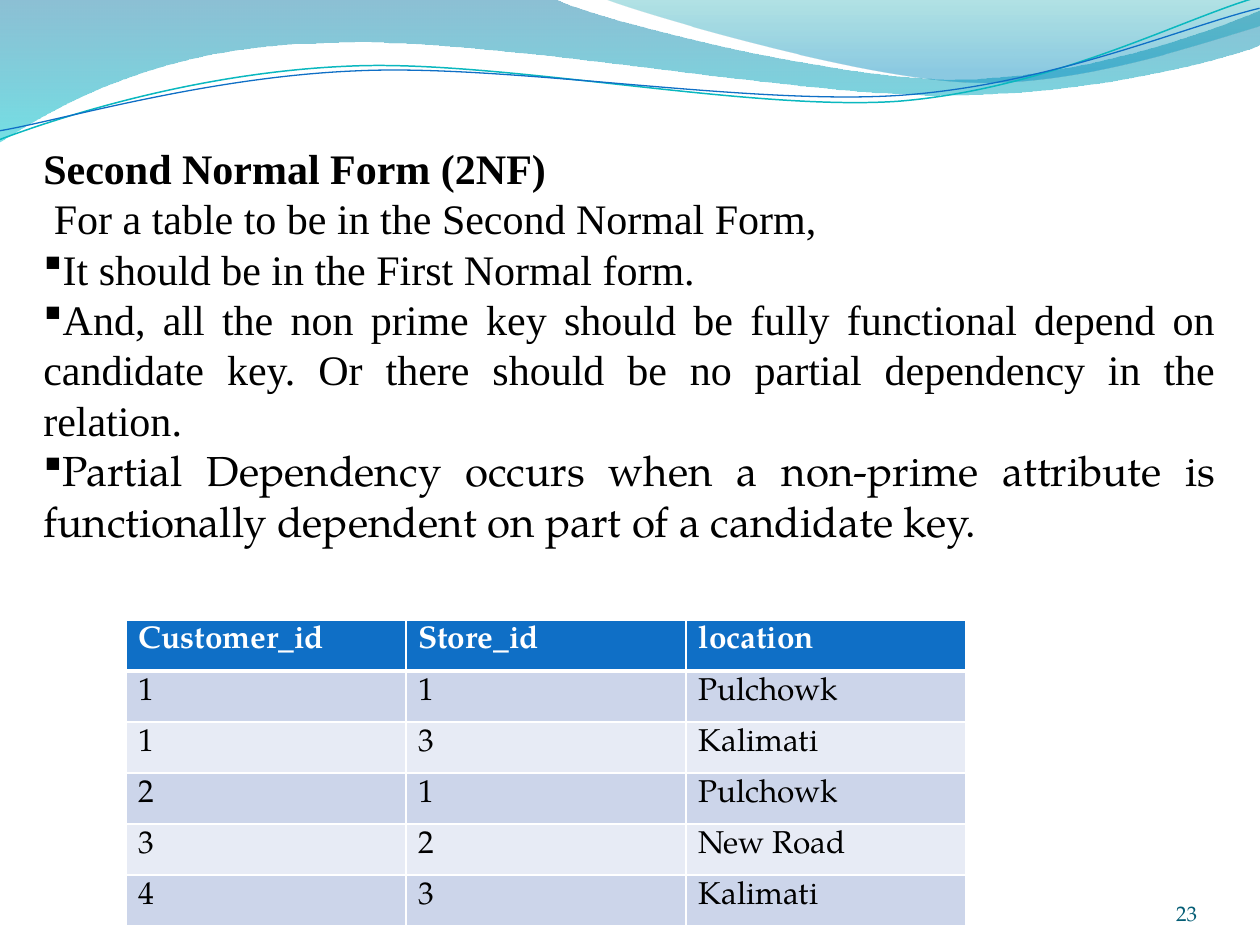
from dataclasses import dataclass
from itertools import chain, product
from lxml.etree import SubElement
from pptx import Presentation
from pptx.dml.color import RGBColor
from pptx.enum.text import MSO_ANCHOR, PP_ALIGN
from pptx.oxml.ns import qn
from pptx.util import Emu, Pt

PIXEL = 914400 / 126


@dataclass(frozen=True)
class Theme:
    """Colours, fonts and type sizes of the slide."""
    ink: str = "000000"
    paper: str = "FFFFFF"
    blue: str = "0F6FC6"
    aqua: str = "0AB8BF"
    number: str = "045D75"
    bands: tuple = ("CCD5EA", "E7EBF5")
    upper_wave: tuple = ((0, "0074A1", 45), (1, "00C6CF", 55))
    right_wave: tuple = ((0, "00A1A9", 30), (0.8, "008BBF", 45))
    serif: str = "Times New Roman"
    book: str = "TeX Gyre Pagella"
    symbols: str = "Wingdings"
    square: str = "§"
    body_size: int = 24
    table_size: int = 18
    number_size: int = 12
    tilt: float = 357.3


def px(length):
    """Turn picture pixels into EMU."""
    return Emu(round(length * PIXEL))


class Painter:
    """Draws themed elements on the current page."""

    def __init__(self, page, theme):
        """Keep the page and its style."""
        self.page = page
        self.theme = theme

    def outline(self, start, pieces, closed):
        """Build a freeform from line ends and Bezier triples."""
        builder = self.page.shapes.build_freeform(*map(px, start), scale=1.0)
        builder.add_line_segments(
            [tuple(map(px, point)) for point in chain(*pieces)], close=closed)
        shape = builder.convert_to_shape()
        shape.shadow.inherit = False
        segments = iter(list(shape._element.spPr.iter(qn("a:lnTo"))))
        for piece in pieces:
            first, *others = [next(segments) for _ in piece]
            if others:
                bezier = first.makeelement(qn("a:cubicBezTo"))
                first.addprevious(bezier)
                for segment in (first, *others):
                    bezier.append(segment[0])
                    segment.getparent().remove(segment)
        return shape

    def wave(self, start, pieces, stops):
        """Draw a closed wave with a translucent vertical gradient."""
        shape = self.outline(start, pieces, True)
        shape.line.fill.background()
        shape.fill.gradient()
        shape.fill.gradient_angle = 270
        for stop, (position, color, _) in zip(shape.fill.gradient_stops, stops):
            stop.position = position
            stop.color.rgb = RGBColor.from_string(color)
        colors = shape._element.spPr.iter(qn("a:srgbClr"))
        for node, (_, _, opacity) in zip(colors, stops):
            SubElement(node, qn("a:alpha"), val=str(opacity * 1000))

    def curve(self, start, pieces, color, width):
        """Draw an open, slightly tilted curved line."""
        shape = self.outline(start, pieces, False)
        shape.rotation = self.theme.tilt
        shape.fill.background()
        shape.line.color.rgb = RGBColor.from_string(color)
        shape.line.width = Pt(width)

    def span(self, para, text, font, size, color, bold=False):
        """Add one formatted run."""
        span = para.add_run()
        span.text = text
        span.font.name = font
        span.font.size = Pt(size)
        span.font.bold = bold
        span.font.color.rgb = RGBColor.from_string(color)

    def box(self, left, top, width, height):
        """Add a wrapping text box and return its frame."""
        frame = self.page.shapes.add_textbox(*map(px, (left, top, width, height))).text_frame
        frame.word_wrap = True
        return frame

    def bullet(self, para):
        """Give a justified paragraph a square bullet."""
        para.alignment = PP_ALIGN.JUSTIFY
        properties = para._p.get_or_add_pPr()
        SubElement(properties, qn("a:buFont"), typeface=self.theme.symbols,
                   pitchFamily="2", charset="2")
        SubElement(properties, qn("a:buChar"), char=self.theme.square)

    def border(self, cell, side, width):
        """Draw one border of a cell."""
        line = SubElement(cell._tc.get_or_add_tcPr(), qn(f"a:ln{side}"), w=str(Pt(width)))
        fill = SubElement(line, qn("a:solidFill"))
        SubElement(fill, qn("a:srgbClr"), val=self.theme.paper)

    def table(self, rows, left, top, column_width, row_height):
        """Draw a banded table with a header row."""
        theme = self.theme
        count, columns = len(rows), len(rows[0])
        table = self.page.shapes.add_table(
            count, columns, px(left), px(top),
            px(column_width * columns), px(row_height * count)).table
        for column in table.columns:
            column.width = px(column_width)
        for row in table.rows:
            row.height = px(row_height)
        for r, c in product(range(count), range(columns)):
            cell = table.cell(r, c)
            header = r == 0
            for side in "LRTB":
                thick = (r, side) in ((0, "B"), (1, "T"))
                self.border(cell, side, 3 if thick else 1)
            cell.fill.solid()
            cell.fill.fore_color.rgb = RGBColor.from_string(
                theme.blue if header else theme.bands[(r - 1) % 2])
            self.span(cell.text_frame.paragraphs[0], rows[r][c], theme.book,
                      theme.table_size, theme.paper if header else theme.ink, header)


theme = Theme()
deck = Presentation()
deck.slide_width, deck.slide_height = px(1260), px(945)
page = deck.slides.add_slide(deck.slide_layouts[6])
painter = Painter(page, theme)

painter.wave((0, 0), (
    [(554, -1)],
    [(600, 21), (837, 79), (955, 79)], [(1075, 79), (1207, 33), (1260, 11)],
    [(1261, 45)],
    [(1239, 55), (1096, 96), (940, 95)], [(784, 95), (481, 35), (324, 43)],
    [(163, 45), (58, 105), (-1, 142)], [(0, 0)]), theme.upper_wave)
painter.wave((604, -1), (
    [(641, 14), (859, 78), (969, 82)], [(1079, 87), (1211, 40), (1260, 26)],
    [(1260, 0)], [(604, -1)]), theme.right_wave)
painter.curve((-3, 110), (
    [(59, 90), (199, 52), (350, 53)], [(499, 53), (745, 117), (896, 114)],
    [(1049, 109), (1184, 45), (1260, 27)]), theme.aqua, 0.85)
painter.curve((-2, 101), (
    [(57, 94), (207, 57), (357, 58)], [(509, 58), (750, 112), (902, 108)],
    [(1052, 104), (1188, 52), (1262, 38)]), theme.blue, 0.75)

number = painter.box(1092, 876, 105, 50)
number.margin_left = number.margin_right = number.margin_top = number.margin_bottom = 0
number.vertical_anchor = MSO_ANCHOR.BOTTOM
number.paragraphs[0].alignment = PP_ALIGN.RIGHT
painter.span(number.paragraphs[0], "23", theme.book, theme.number_size, theme.number)

body = painter.box(31, 136, 1197, 420)
intro = body.paragraphs[0]
painter.span(intro, "Second Normal Form (2NF)", theme.serif, theme.body_size, theme.ink, True)
intro.add_line_break()
painter.span(intro, " For a table to be in the Second Normal Form,",
             theme.serif, theme.body_size, theme.ink)
RULES = (
    ("It should be in the First Normal form.", theme.serif),
    ("And, all the non prime key should be fully functional depend on candidate key. "
     "Or there should be no partial dependency in the relation.", theme.serif),
    ("Partial Dependency occurs when a non-prime attribute is functionally dependent "
     "on part of a candidate key.", theme.book),
)
for text, font in RULES:
    para = body.add_paragraph()
    painter.bullet(para)
    painter.span(para, text, font, theme.body_size, theme.ink)

painter.table((
    ("Customer_id", "Store_id", "location"),
    ("1", "1", "Pulchowk"),
    ("1", "3", "Kalimati"),
    ("2", "1", "Pulchowk"),
    ("3", "2", "New Road"),
    ("4", "3", "Kalimati"),
), 126, 620, 280, 51)

deck.save("out.pptx")
